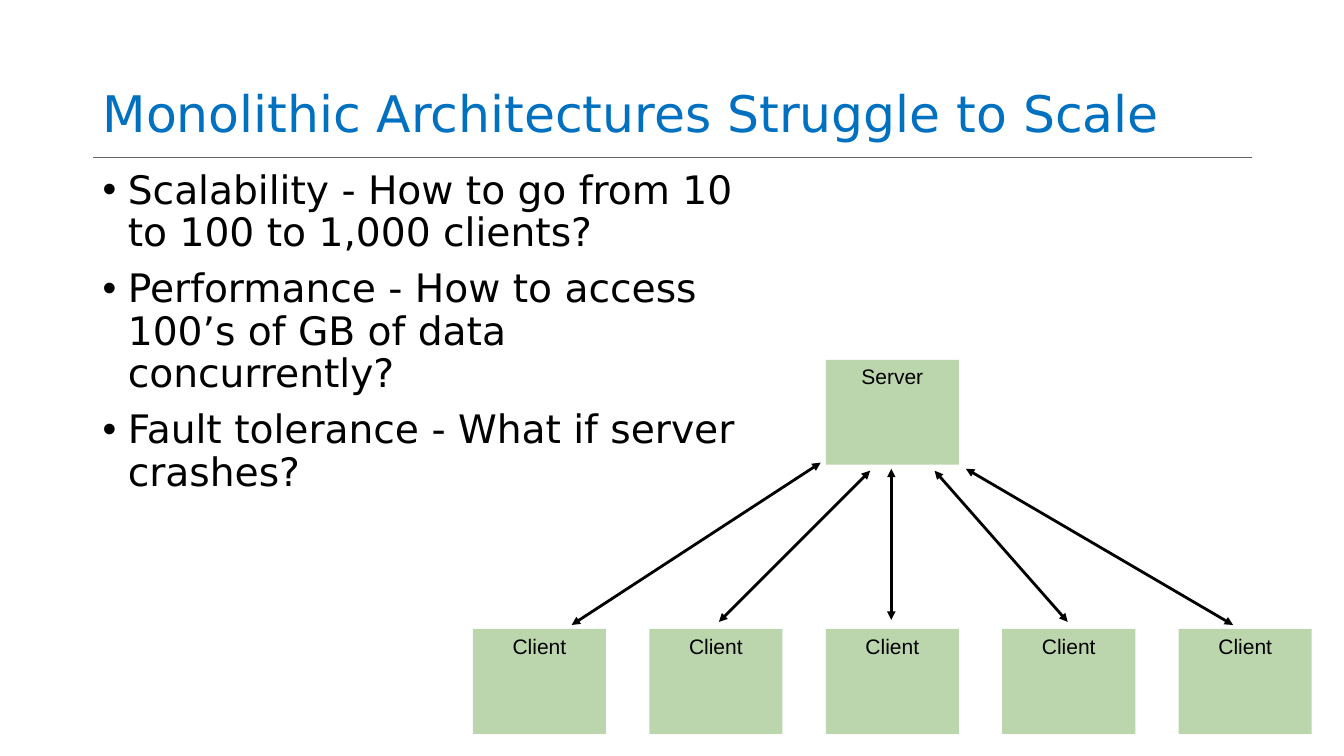
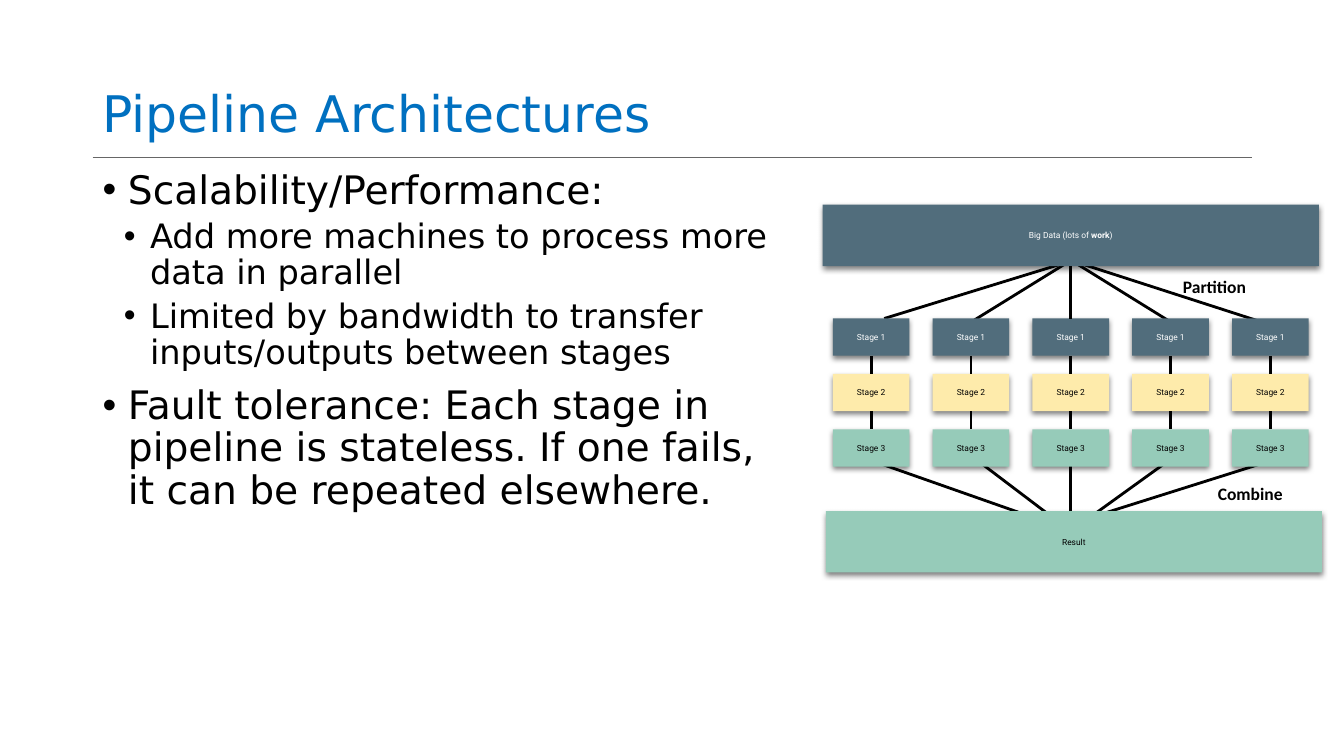
import pptx
import pptx.dml.color
import pptx.enum.shapes
import pptx.enum.text
import pptx.oxml
import pptx.oxml.ns
import pptx.util

Inches = pptx.util.Inches
Pt = pptx.util.Pt
ALIGN = pptx.enum.text.PP_ALIGN
ANCHOR = pptx.enum.text.MSO_ANCHOR
NS = pptx.oxml.ns.nsdecls("a")

# Shared colours
BLACK, WHITE, BLUE, GRAY = "000000", "FFFFFF", "0070C0", "666666"
GREEN, SLATE, SAND, MINT = "BBD5AC", "516D7C", "FEEBAB", "96CBB9"

# Bullet levels: text indent, hanging indent, size, space before
LEVELS = [(0.25, -0.25, 28, 10), (0.47, -0.26, 24, 5)]


def color(code):
    return pptx.dml.color.RGBColor.from_string(code)


def node(body):
    return pptx.oxml.parse_xml(body.replace(" ", f" {NS} ", 1))


def write(frame, text, size=28, font="DejaVu Sans", ink=BLACK, bold=False,
          align=ALIGN.LEFT, space=1.0, level=None):
    """Add a paragraph; text is a string or a list of (string, bold) runs."""
    first = not frame.text
    para = frame.paragraphs[0] if first else frame.add_paragraph()
    para.alignment, para.line_spacing = align, space
    if level is not None:
        left, hang, size, before = LEVELS[level]
        para.level = level
        para.space_before = Pt(0 if first else before)
        props = para._p.get_or_add_pPr()
        props.set("marL", str(Inches(left)))
        props.set("indent", str(Inches(hang)))
        props.append(node('<a:buFont typeface="Arial"/>'))
        props.append(node('<a:buChar char="•"/>'))
    for words, heavy in [(text, bold)] if isinstance(text, str) else text:
        run = para.add_run()
        run.text = words
        run.font.size, run.font.name, run.font.bold = Pt(size), font, heavy
        run.font.color.rgb = color(ink)


class Deck:
    def __init__(self):
        self.file = pptx.Presentation()
        self.file.slide_width = Inches(13.33)
        self.file.slide_height = Inches(7.5)
        self.slide = None

    def page(self, title, width, points):
        """Start a slide with its title, rule and (level, text) bullets."""
        self.slide = self.file.slides.add_slide(self.file.slide_layouts[6])
        self.line((0.92, 1.56), (12.42, 1.56), ink=GRAY, weight=0.5)
        self.label(title, 0.92, 0.02, 11.5, 1.45, anchor=ANCHOR.BOTTOM,
                   size=36, ink=BLUE, space=0.9)
        frame = self.area(0.92, 1.64, width, 4.76)
        for level, text in points:
            write(frame, text, level=level, space=0.9)

    def area(self, *spot):
        frame = self.slide.shapes.add_textbox(*map(Inches, spot)).text_frame
        frame.word_wrap = True
        return frame

    def label(self, text, *spot, anchor=ANCHOR.MIDDLE, **style):
        frame = self.area(*spot)
        frame.vertical_anchor = anchor
        write(frame, text, **style)

    def box(self, text, *spot, fill, shadow=False, anchor=ANCHOR.MIDDLE, **style):
        kind = pptx.enum.shapes.MSO_SHAPE.RECTANGLE
        shape = self.slide.shapes.add_shape(kind, *map(Inches, spot))
        shape.fill.solid()
        shape.fill.fore_color.rgb = color(fill)
        shape.line.fill.background()
        shape.shadow.inherit = False
        if shadow:
            effects = shape.element.spPr.find(pptx.oxml.ns.qn("a:effectLst"))
            effects.append(node(
                f'<a:outerShdw blurRad="{Pt(4)}" dist="{Pt(2)}" dir="5400000"'
                ' rotWithShape="0"><a:srgbClr val="000000">'
                '<a:alpha val="50000"/></a:srgbClr></a:outerShdw>'))
        frame = shape.text_frame
        frame.word_wrap, frame.vertical_anchor = True, anchor
        frame.margin_left = frame.margin_right = Inches(0.04)
        frame.margin_top = frame.margin_bottom = Inches(0.04)
        write(frame, text, align=ALIGN.CENTER, **style)
        return shape

    def line(self, start, end, ink=BLACK, weight=2, arrows=False):
        kind = pptx.enum.shapes.MSO_CONNECTOR.STRAIGHT
        wire = self.slide.shapes.add_connector(kind, *map(Inches, start + end))
        wire.line.color.rgb = color(ink)
        wire.line.width = Pt(weight)
        wire.element.spPr.append(node("<a:effectLst />"))
        if arrows:
            for tag in ("headEnd", "tailEnd"):
                wire.line._get_or_add_ln().append(
                    node(f'<a:{tag} type="triangle"/>'))
        return wire

    def join(self, upper, lower):
        wire = self.line((0, 0), (0, 0))
        wire.begin_connect(upper, 2)
        wire.end_connect(lower, 0)


def monolith(deck):
    deck.page("Monolithic Architectures Struggle to Scale", 6.84, [
        (0, "Scalability - How to go from 10 to 100 to 1,000 clients?"),
        (0, "Performance - How to access 100’s of GB of data concurrently?"),
        (0, "Fault tolerance - What if server crashes?")])

    # Server above a row of clients
    left, step = 4.69, 1.75
    spots = [("Server", 2, 3.57)] + [("Client", i, 6.24) for i in range(5)]
    for name, col, top in spots:
        deck.box(name, left + col * step, top, 1.32, 1.04, fill=GREEN,
                 anchor=ANCHOR.TOP, size=15, font="Arial")

    # Two-way traffic
    for start, end in [((5.67, 6.2), (8.14, 4.59)), ((7.13, 6.17), (8.63, 4.67)),
                       ((8.84, 6.15), (8.84, 4.65)), ((10.59, 6.17), (9.27, 4.67)),
                       ((12.23, 6.2), (9.58, 4.65))]:
        deck.line(start, end, arrows=True)


def pipeline(deck):
    deck.page("Pipeline Architectures", 6.91, [
        (0, "Scalability/Performance:"),
        (1, "Add more machines to process more data in parallel"),
        (1, "Limited by bandwidth to transfer inputs/outputs between stages"),
        (0, "Fault tolerance: Each stage in pipeline is stateless. "
            "If one fails, it can be repeated elsewhere.")])

    # Fans that run behind the boxes
    for start, end in [((8.77, 3.16), (10.49, 2.63)), ((9.64, 3.19), (10.61, 2.59)),
                       ((11.62, 3.2), (10.62, 2.58)), ((12.53, 3.2), (10.61, 2.58)),
                       ((8.56, 4.54), (10.58, 5.25)), ((9.63, 4.52), (10.62, 5.27)),
                       ((10.62, 4.52), (10.62, 5.27)), ((11.66, 4.52), (10.62, 5.27)),
                       ((12.51, 4.6), (10.64, 5.19))]:
        deck.line(start, end)

    # Bars and the grid of stages
    style = dict(size=6, font="Roboto", shadow=True)
    source = deck.box([("Big Data (lots of ", False), ("work", True), (")", False)],
                      8.16, 2.03, 4.92, 0.61, fill=SLATE, ink=WHITE, **style)
    deck.box("Result", 8.19, 5.07, 4.92, 0.61, fill=MINT, **style)
    looks = [(SLATE, WHITE), (SAND, BLACK), (MINT, BLACK)]
    for col in range(5):
        above = source if col == 2 else None
        for row, (fill, ink) in enumerate(looks):
            stage = deck.box(f"Stage {row + 1}", 8.26 + col * 0.99,
                             3.16 + row * 0.55, 0.76, 0.37,
                             fill=fill, ink=ink, **style)
            if above:
                deck.join(above, stage)
            above = stage

    # Step names
    for name, *spot in [("Partition", 11.55, 2.66, 0.99, 0.36),
                        ("Combine", 11.86, 4.72, 1.08, 0.36)]:
        deck.label(name, *spot, size=12.5, font="Calibri", bold=True,
                   align=ALIGN.CENTER)


def main():
    deck = Deck()
    monolith(deck)
    pipeline(deck)
    deck.file.save("out.pptx")


if __name__ == "__main__":
    main()
